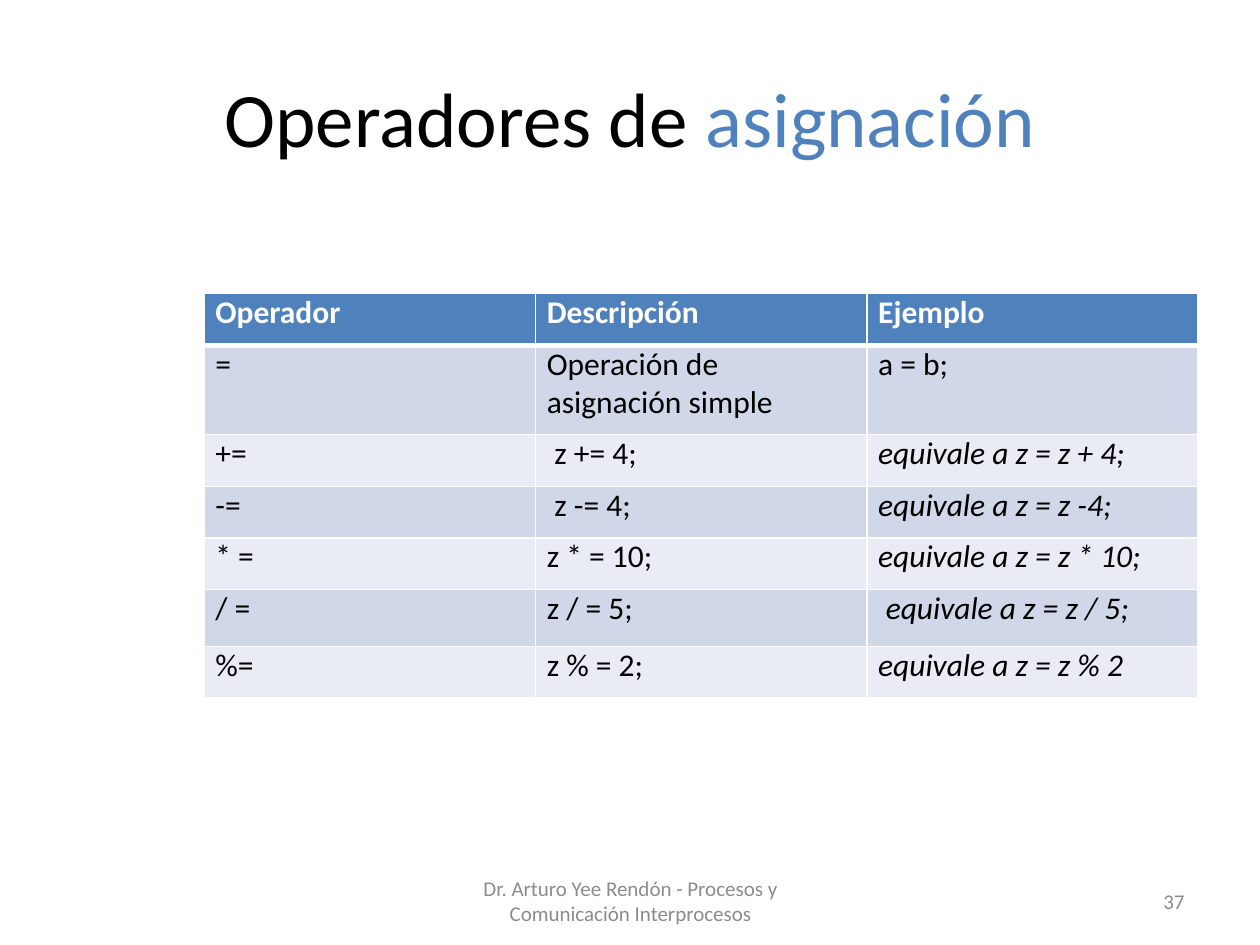
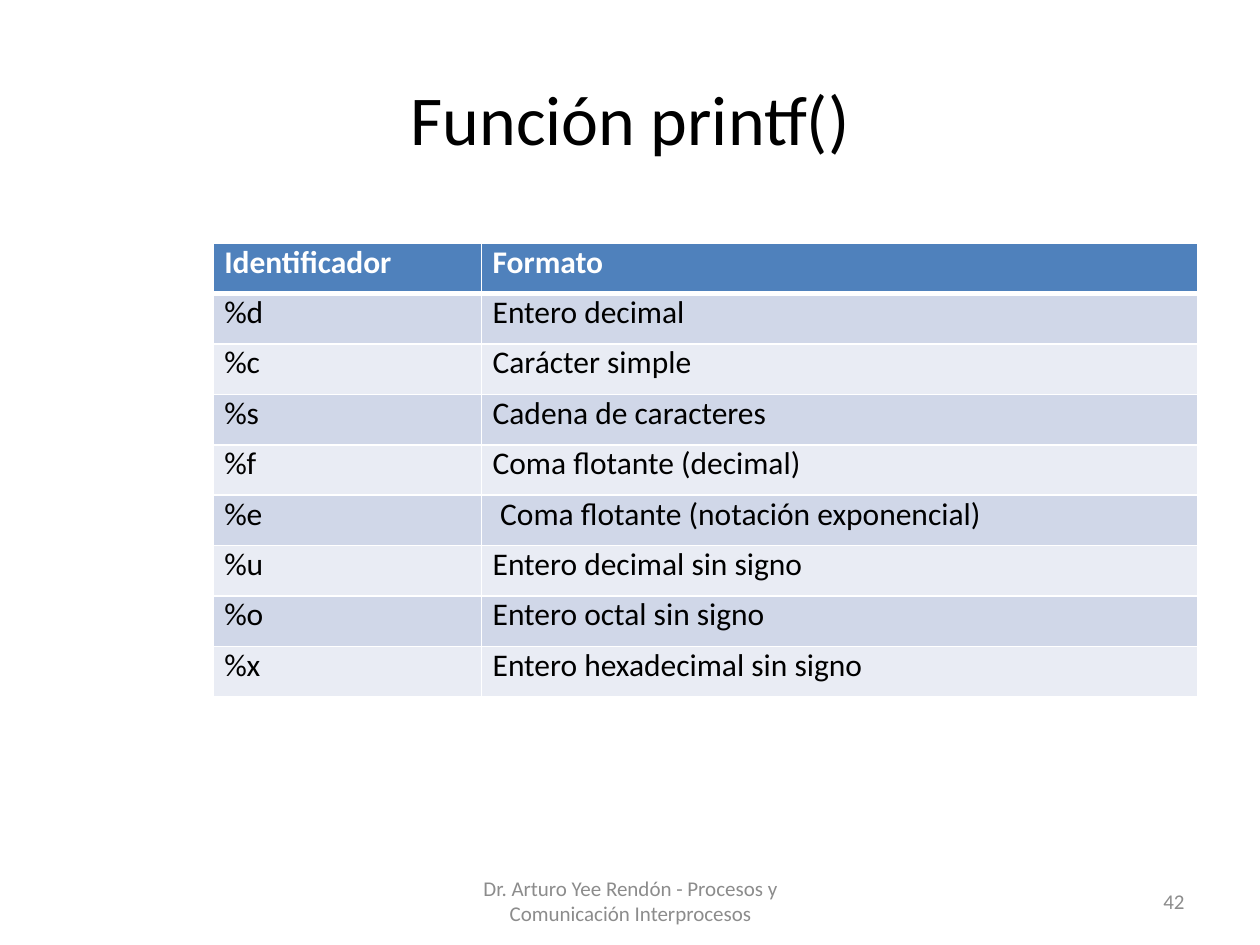
from lxml import etree
from pptx import Presentation
from pptx import util as u
from pptx.dml.color import RGBColor
from pptx.enum import text
from pptx.oxml import ns

FONT = "Calibri"
BLACK = RGBColor(0x00, 0x00, 0x00)
WHITE = RGBColor(0xFF, 0xFF, 0xFF)
GRAY = RGBColor(0x8C, 0x8C, 0x8C)
ACCENT = RGBColor(0x4F, 0x81, 0xBD)
HEADER = RGBColor(0x4F, 0x81, 0xBC)
BANDS = [RGBColor(0xE9, 0xEC, 0xF4), RGBColor(0xD0, 0xD7, 0xE8)]
FOOTER = "Dr. Arturo Yee Rendón - Procesos y Comunicación Interprocesos"
INDENT, DEEP_INDENT = 0.09, 0.15
RIGHT_EDGE = 9.51

deck = Presentation()
deck.slide_width, deck.slide_height = u.Inches(10), u.Inches(7.5)


def add_label(slide, box, parts, size, align, inset):
    frame = slide.shapes.add_textbox(*map(u.Inches, box)).text_frame
    frame.word_wrap = True
    frame.vertical_anchor = text.MSO_ANCHOR.MIDDLE
    frame.margin_left = frame.margin_right = u.Inches(inset)
    frame.margin_top = frame.margin_bottom = u.Inches(inset / 2)
    paragraph = frame.paragraphs[0]
    paragraph.alignment = align
    paragraph.font.name, paragraph.font.size = FONT, u.Pt(size)
    for wording, color in parts:
        run = paragraph.add_run()
        run.text = wording
        run.font.color.rgb = color


def add_border(cell, widths):
    properties = cell._tc.get_or_add_tcPr()
    for position, (side, width) in enumerate(widths.items()):
        line = etree.Element(ns.qn("a:ln" + side), w=str(u.Pt(width)))
        fill = etree.SubElement(line, ns.qn("a:solidFill"))
        etree.SubElement(fill, ns.qn("a:srgbClr"), val=str(WHITE))
        properties.insert(position, line)


lessons = [
    dict(
        title=[("Operadores de ", BLACK), ("asignación", ACCENT)],
        title_size=44, number="37", top=2.33,
        columns=[2.63, 2.63, 2.63],
        heights=[0.41, 0.71, 0.41, 0.41, 0.41, 0.45, 0.41],
        indented=[(2, 1), (3, 1), (5, 2)],
        rows=[
            ("Operador", "Descripción", "Ejemplo"),
            ("=", "Operación de\nasignación simple", "a = b;"),
            ("+=", "z += 4;", "equivale a z = z + 4;"),
            ("-=", "z -= 4;", "equivale a z = z -4;"),
            ("* =", "z * = 10;", "equivale a z = z * 10;"),
            ("/ =", "z / = 5;", "equivale a z = z / 5;"),
            ("%=", "z % = 2;", "equivale a z = z % 2"),
        ],
    ),
    dict(
        title=[("Función printf()", BLACK)],
        title_size=40, number="42", top=1.93,
        columns=[2.13, 5.69],
        heights=[0.4] * 9,
        indented=[(5, 1)],
        rows=[
            ("Identificador", "Formato"),
            ("%d", "Entero decimal"),
            ("%c", "Carácter simple"),
            ("%s", "Cadena de caracteres"),
            ("%f", "Coma flotante (decimal)"),
            ("%e", "Coma flotante (notación exponencial)"),
            ("%u", "Entero decimal sin signo"),
            ("%o", "Entero octal sin signo"),
            ("%x", "Entero hexadecimal sin signo"),
        ],
    ),
]

for lesson in lessons:
    slide = deck.slides.add_slide(deck.slide_layouts[6])
    add_label(slide, (0.5, 0.56, 9, 0.74), lesson["title"],
              lesson["title_size"], text.PP_ALIGN.CENTER, 0)

    columns, heights, rows = lesson["columns"], lesson["heights"], lesson["rows"]
    width = sum(columns)
    operators = slide.shapes.add_table(
        len(rows), len(columns), u.Inches(RIGHT_EDGE - width),
        u.Inches(lesson["top"]), u.Inches(width), u.Inches(sum(heights))).table
    operators.first_row = operators.horz_banding = False
    for column, share in zip(operators.columns, columns):
        column.width = u.Inches(share)
    for row, height in zip(operators.rows, heights):
        row.height = u.Inches(height)

    for r, row in enumerate(rows):
        for c, wording in enumerate(row):
            cell = operators.cell(r, c)
            cell.text = wording
            cell.margin_left = u.Inches(
                DEEP_INDENT if (r, c) in lesson["indented"] else INDENT)
            cell.margin_right = cell.margin_top = cell.margin_bottom = 0
            cell.fill.solid()
            cell.fill.fore_color.rgb = BANDS[r % 2] if r else HEADER
            add_border(cell, {"L": 1, "R": 1, "T": 3 if r == 1 else 1,
                              "B": 1 if r else 3})
            for paragraph in cell.text_frame.paragraphs:
                font = paragraph.font
                font.name, font.size = FONT, u.Pt(18)
                font.bold = r == 0
                font.italic = wording.startswith("equivale")
                font.color.rgb = BLACK if r else WHITE
            cell.text_frame.paragraphs[0].space_before = u.Pt(0.9 if r == 1 else 1.9)

    add_label(slide, (3.42, 6.95, 3.17, 0.4), [(FOOTER, GRAY)], 12,
              text.PP_ALIGN.CENTER, 0.1)
    add_label(slide, (7.17, 6.95, 2.33, 0.4), [(lesson["number"], GRAY)], 12,
              text.PP_ALIGN.RIGHT, 0.1)

deck.save("out.pptx")
